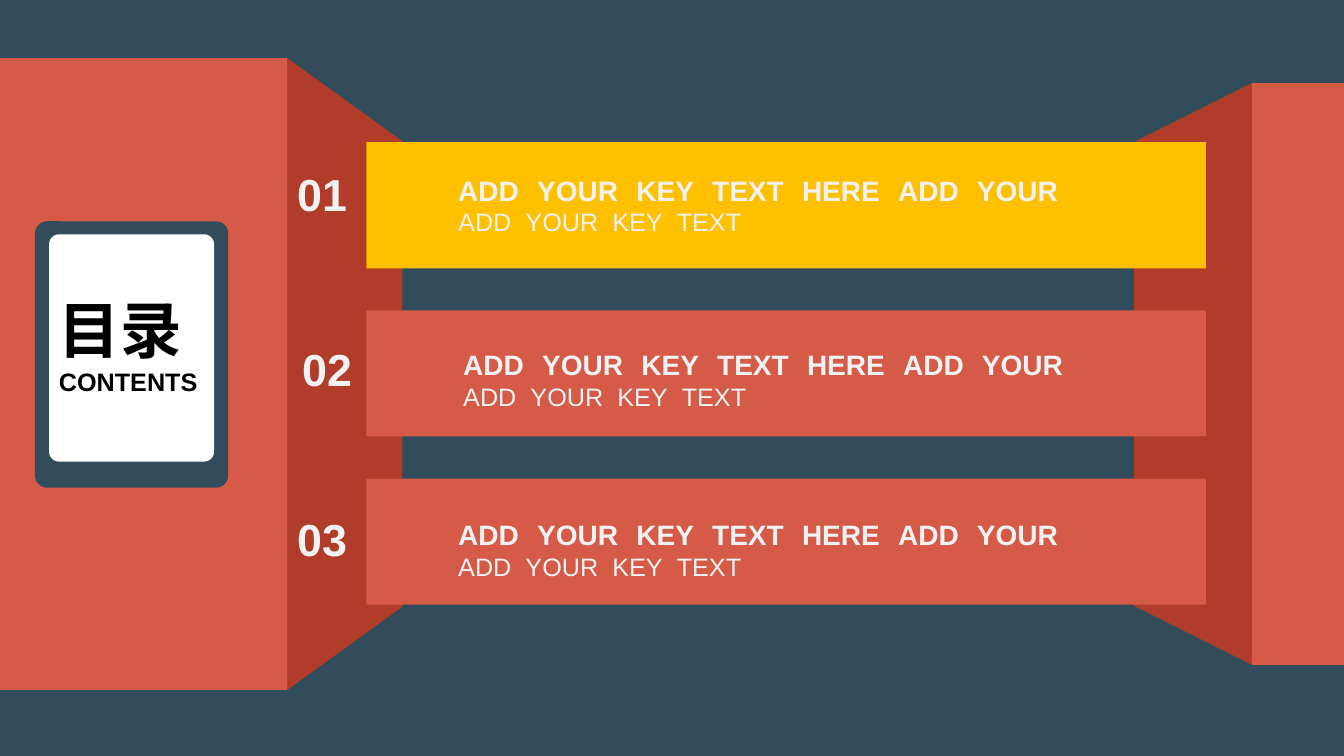
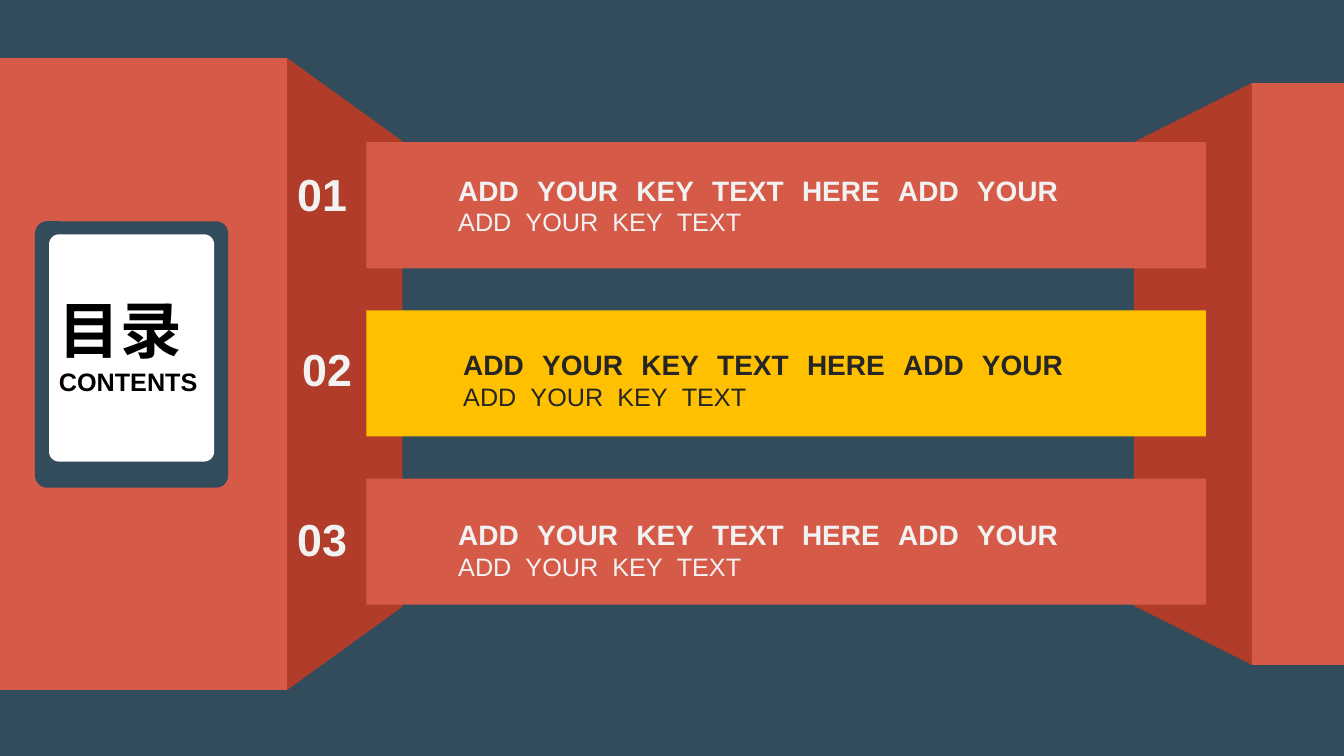
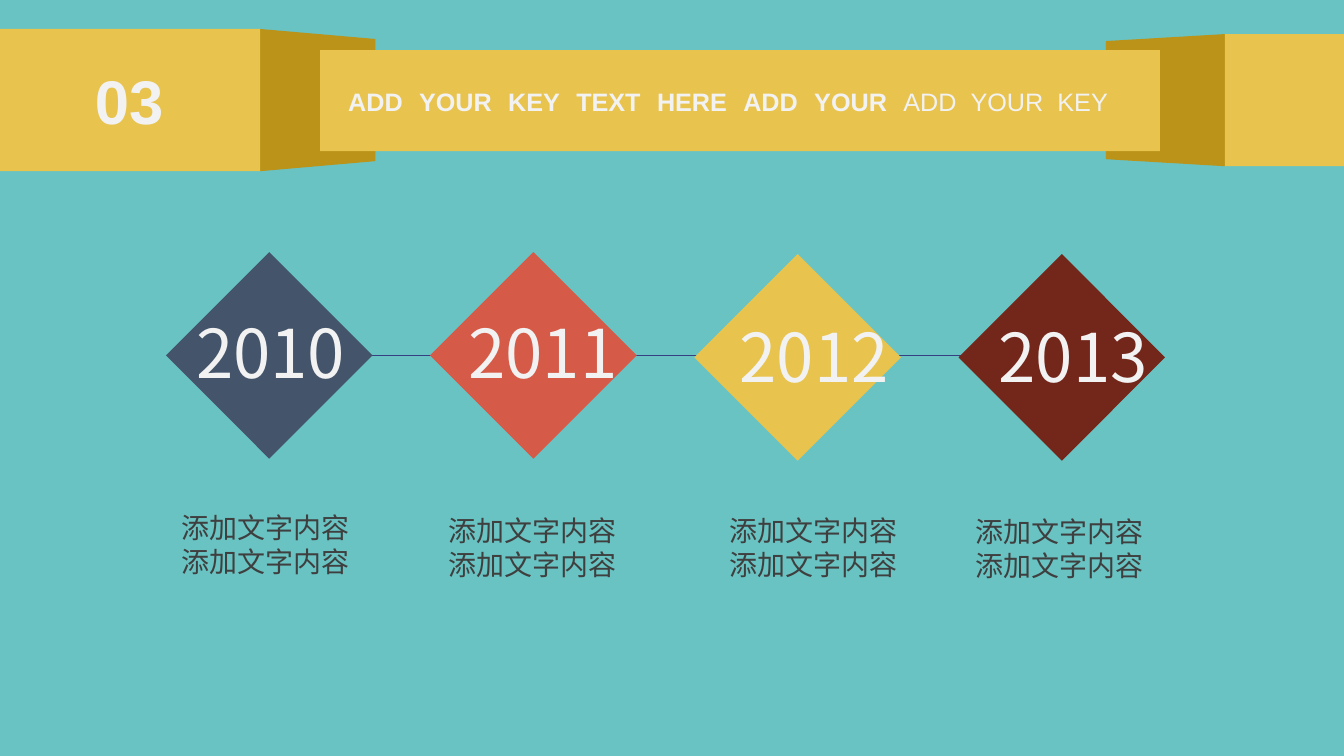
from dataclasses import dataclass

import lxml.etree
import pptx
import pptx.dml.color
import pptx.enum.shapes
import pptx.enum.text
import pptx.oxml.ns
import pptx.presentation
import pptx.shapes.base
import pptx.slide
import pptx.util

EMU_PER_PX = 9080
SLIDE_WIDTH = 1343
SLIDE_HEIGHT = 755
SHAPE = pptx.enum.shapes.MSO_SHAPE


@dataclass(frozen=True)
class Theme:
    navy: str = "334C5C"
    teal: str = "69C3C3"
    coral: str = "D55B48"
    coral_dark: str = "B13C29"
    gold: str = "E8C34E"
    gold_dark: str = "BA9318"
    amber: str = "FFC000"
    slate: str = "44546A"
    maroon: str = "73261A"
    indigo: str = "363F82"
    white: str = "FFFFFF"
    black: str = "000000"
    light_ink: str = "F2F2F2"
    dark_ink: str = "262626"
    caption_ink: str = "3F3F3F"
    latin: str = "Arial"
    chinese: str = "Noto Sans CJK SC"
    year_size: int = 48
    display_size: int = 44
    number_size: int = 32
    key_size: int = 20
    body_size: int = 18
    key_gap: float = 0.37
    body_gap: float = 0.28


THEME = Theme()


@dataclass(frozen=True)
class Box:
    left: int
    top: int
    width: int
    height: int

    def emu(self) -> tuple[int, ...]:
        return tuple(px(n) for n in (self.left, self.top, self.width, self.height))


@dataclass(frozen=True)
class Span:
    text: str
    size: int
    bold: bool = False
    word_gap: float = 0


@dataclass(frozen=True)
class Flap:
    """One end of a ribbon: a flat band and the fold that leads behind the bars."""

    band_left: int
    band_right: int
    band_top: int
    fold_from: int
    fold_to: int
    fold_top: int


@dataclass(frozen=True)
class Ribbon:
    """Two flaps; each is symmetric, so that top + bottom = height_sum."""

    flaps: tuple[Flap, Flap]
    height_sum: int
    face: str
    fold: str


@dataclass(frozen=True)
class Entry:
    number: str
    left: int
    top: int


@dataclass(frozen=True)
class Milestone:
    year: str
    colour: str
    top: int
    year_left: int
    year_top: int
    caption_left: int
    caption_top: int


CONTENTS_RIBBON = Ribbon(
    (Flap(0, 287, 58, 287, 402, 141), Flap(1251, SLIDE_WIDTH, 83, 1251, 1133, 142)),
    747, THEME.coral, THEME.coral_dark,
)
HEADER_RIBBON = Ribbon(
    (Flap(0, 260, 29, 260, 375, 39), Flap(1224, SLIDE_WIDTH, 34, 1224, 1105, 41)),
    200, THEME.gold, THEME.gold_dark,
)
ENTRIES = (Entry("01", 287, 162), Entry("02", 292, 336), Entry("03", 287, 506))
MILESTONES = (
    Milestone("2010", THEME.slate, 282, 186, 306, 171, 505),
    Milestone("2011", THEME.coral, 282, 458, 306, 438, 508),
    Milestone("2012", THEME.gold, 284, 729, 310, 719, 508),
    Milestone("2013", THEME.maroon, 284, 988, 310, 965, 509),
)
KEY_TEXT = "ADD YOUR KEY TEXT HERE ADD YOUR"
CAPTION = "添加文字内容添加文字内容"


def px(length: int) -> int:
    return length * EMU_PER_PX


def rgb(colour: str) -> pptx.dml.color.RGBColor:
    return pptx.dml.color.RGBColor.from_string(colour)


def paint(shape: pptx.shapes.base.BaseShape, colour: str) -> None:
    shape.shadow.inherit = False
    shape.fill.solid()
    shape.fill.fore_color.rgb = rgb(colour)
    shape.line.fill.background()


def draw_box(slide: pptx.slide.Slide, box: Box, colour: str, *,
             radius: int = 0, rotation: int = 0) -> None:
    kind = SHAPE.ROUNDED_RECTANGLE if radius else SHAPE.RECTANGLE
    shape = slide.shapes.add_shape(kind, *box.emu())
    if radius:
        shape.adjustments[0] = radius / min(box.width, box.height)
    shape.rotation = rotation
    paint(shape, colour)


def draw_outline(slide: pptx.slide.Slide, points: list[tuple[int, int]],
                 colour: str) -> None:
    corners = [(px(x), px(y)) for x, y in points]
    builder = slide.shapes.build_freeform(*corners[0])
    builder.add_line_segments(corners[1:], close=True)
    paint(builder.convert_to_shape(), colour)


def draw_ribbon(slide: pptx.slide.Slide, ribbon: Ribbon) -> None:
    total = ribbon.height_sum
    for flap in ribbon.flaps:
        draw_outline(slide, [
            (flap.fold_from, flap.band_top),
            (flap.fold_to, flap.fold_top),
            (flap.fold_to, total - flap.fold_top),
            (flap.fold_from, total - flap.band_top),
        ], ribbon.fold)
        band = Box(flap.band_left, flap.band_top,
                   flap.band_right - flap.band_left, total - 2 * flap.band_top)
        draw_box(slide, band, ribbon.face)


def write(slide: pptx.slide.Slide, box: Box, *lines: list[Span],
          colour: str = THEME.light_ink, font: str = THEME.latin) -> None:
    """Write one paragraph a line; a span's word_gap, in em, widens its spaces."""
    frame = slide.shapes.add_textbox(*box.emu()).text_frame
    frame.word_wrap = True
    frame.auto_size = pptx.enum.text.MSO_AUTO_SIZE.NONE
    for index, line in enumerate(lines):
        para = frame.add_paragraph() if index else frame.paragraphs[0]
        for span in line:
            for position, word in enumerate(span.text.split(" ")):
                for piece in ((" ", word) if position else (word,)):
                    if not piece:
                        continue
                    run = para.add_run()
                    run.text = piece
                    run.font.size = pptx.util.Pt(span.size)
                    run.font.bold = span.bold
                    run.font.color.rgb = rgb(colour)
                    run.font.name = font
                    properties = run._r.get_or_add_rPr()
                    east_asian = lxml.etree.SubElement(
                        properties, pptx.oxml.ns.qn("a:ea"))
                    east_asian.set("typeface", font)
                    if piece == " ":
                        spacing = round(span.word_gap * span.size * 100)
                        properties.set("spc", str(spacing))


def draw_line(slide: pptx.slide.Slide, start: tuple[int, int],
              end: tuple[int, int], colour: str) -> None:
    line = slide.shapes.add_connector(
        pptx.enum.shapes.MSO_CONNECTOR.STRAIGHT,
        *(px(n) for n in (*start, *end)))
    line.line.color.rgb = rgb(colour)
    line.line.width = pptx.util.Pt(1)
    lxml.etree.SubElement(line._element.spPr, pptx.oxml.ns.qn("a:effectLst"))


def add_page(deck: pptx.presentation.Presentation, background: str,
             ribbon: Ribbon) -> pptx.slide.Slide:
    page = deck.slides.add_slide(deck.slide_layouts[6])
    page.background.fill.solid()
    page.background.fill.fore_color.rgb = rgb(background)
    draw_ribbon(page, ribbon)
    return page


def add_contents_page(deck: pptx.presentation.Presentation, current: str,
                      current_ink: str) -> None:
    page = add_page(deck, THEME.navy, CONTENTS_RIBBON)
    for row, entry in enumerate(ENTRIES):
        bar_colour = THEME.amber if entry.number == current else THEME.coral
        draw_box(page, Box(366, 142 + 168 * row, 839, 126), bar_colour)

    draw_box(page, Box(35, 221, 193, 266), THEME.navy, radius=12)
    draw_box(page, Box(49, 234, 165, 227), THEME.white, radius=10)
    write(page, Box(49, 287, 217, 115),
          [Span("目录", THEME.display_size, bold=True)],
          [Span("CONTENTS", THEME.body_size, bold=True)], colour=THEME.black)

    for entry in ENTRIES:
        ink = current_ink if entry.number == current else THEME.light_ink
        write(page, Box(entry.left + 161, entry.top + 6, 715, 75),
              [Span(KEY_TEXT, THEME.key_size, True, THEME.key_gap)],
              [Span("ADD YOUR KEY TEXT", THEME.body_size, False, THEME.body_gap)],
              colour=ink)
        write(page, Box(entry.left, entry.top, 78, 64),
              [Span(entry.number, THEME.number_size, bold=True)])


def add_timeline_page(deck: pptx.presentation.Presentation) -> None:
    page = add_page(deck, THEME.teal, HEADER_RIBBON)
    draw_box(page, Box(320, 50, 839, 101), THEME.gold)
    write(page, Box(85, 58, 136, 84), [Span("03", THEME.display_size, bold=True)])
    write(page, Box(338, 81, 804, 40), [
        Span(KEY_TEXT + " ", THEME.body_size, True, THEME.key_gap),
        Span("ADD YOUR KEY", THEME.body_size, False, THEME.body_gap),
    ])

    draw_line(page, (364, 355), (974, 355), THEME.indigo)
    for column, milestone in enumerate(MILESTONES):
        draw_box(page, Box(196 + 264 * column, milestone.top, 146, 146),
                 milestone.colour, rotation=45)
        write(page, Box(milestone.year_left, milestone.year_top, 171, 171),
              [Span(milestone.year, THEME.year_size)], font=THEME.chinese)
        write(page, Box(milestone.caption_left, milestone.caption_top, 191, 111),
              [Span(CAPTION, THEME.key_size)],
              colour=THEME.caption_ink, font=THEME.chinese)


def main() -> None:
    deck = pptx.Presentation()
    deck.slide_width = px(SLIDE_WIDTH)
    deck.slide_height = px(SLIDE_HEIGHT)
    add_contents_page(deck, "01", THEME.light_ink)
    add_contents_page(deck, "02", THEME.dark_ink)
    add_timeline_page(deck)
    deck.save("out.pptx")


if __name__ == "__main__":
    main()
